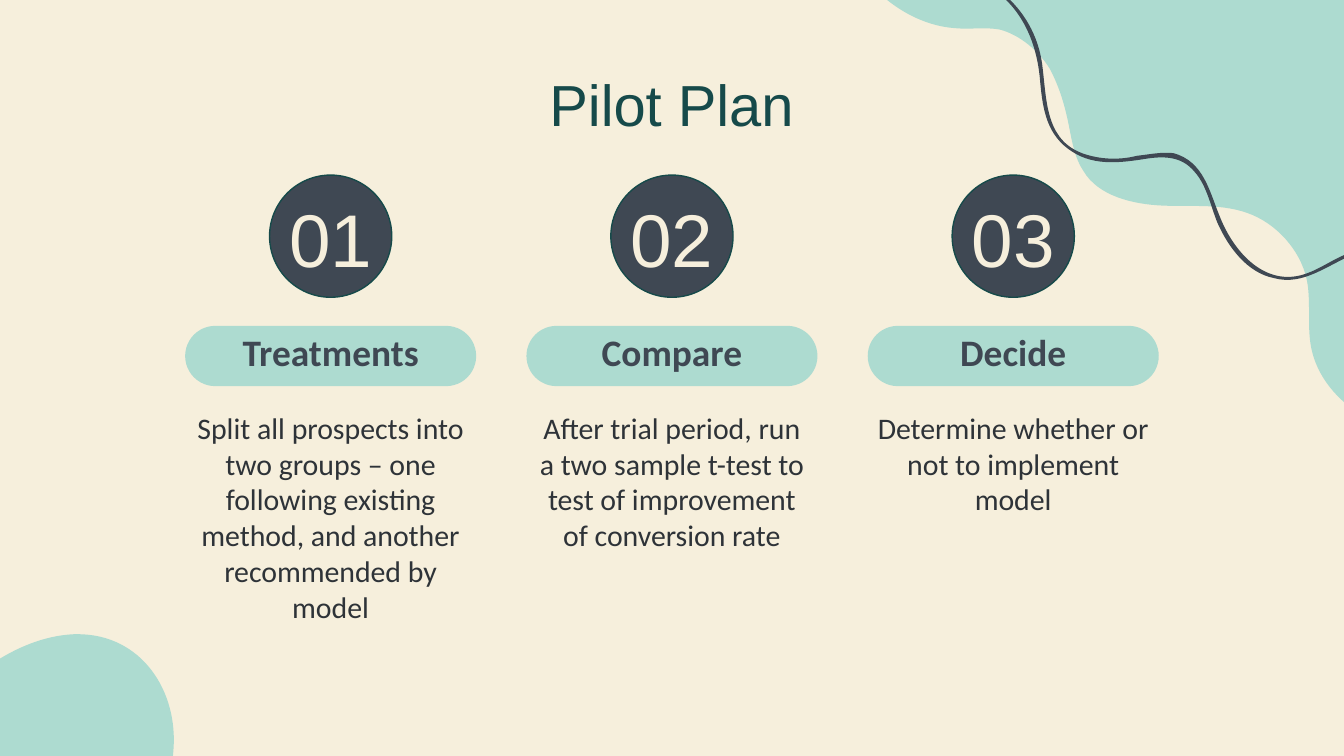
"""Build the Pilot Plan slide: three numbered steps on a wavy background."""
from lxml.etree import SubElement
from pptx import Presentation
from pptx.dml.color import RGBColor
from pptx.enum.shapes import MSO_SHAPE as SHAPE
from pptx.enum.text import MSO_ANCHOR as ANCHOR, PP_ALIGN as ALIGN
from pptx.oxml.ns import qn
from pptx.util import Cm, Pt

CREAM = RGBColor(0xF6, 0xEF, 0xDC)
MINT = RGBColor(0xAD, 0xDB, 0xD0)
SLATE = RGBColor(0x3F, 0x48, 0x53)
TEAL = RGBColor(0x16, 0x4A, 0x4A)
INK = RGBColor(0x2E, 0x33, 0x38)

TITLE = "Pilot Plan"
STEPS = [
    ("01", "Treatments", "Split all prospects into two groups – one following existing "
     "method, and another recommended by model", 3.76),
    ("02", "Compare", "After trial period, run a two sample t-test to test of "
     "improvement of conversion rate", 4.29),
    ("03", "Decide", "Determine whether or not to implement model", 2.21),
]

UNIT = Cm(0.0254)
CORNER_BLOB = [
    (58, 472), (57, 472, 56, 472, 55, 472), (33, 473, 12, 482, -6, 494),
    (-48, 521, -77, 567, -88, 616), (104, 616), (118, 598, 128, 578, 129, 559),
    (133, 514, 105, 472, 58, 472),
]
TOP_BLOB = [
    (975, 255), (973, 241, 975, 227, 973, 212), (970, 190, 953, 169, 932, 160),
    (911, 151, 887, 154, 865, 153), (843, 152, 817, 146, 806, 127),
    (800, 118, 798, 107, 796, 97), (793, 81, 789, 66, 781, 51),
    (773, 38, 759, 26, 744, 22), (733, 20, 722, 22, 711, 21),
    (682, 19, 656, 1, 639, -22), (638, -23, 637, -24, 636, -25),
    (644, -39, 652, -55, 667, -60), (693, -70, 719, -44, 747, -42),
    (769, -40, 789, -53, 808, -65), (851, -91, 904, -110, 951, -91),
    (963, -87, 974, -80, 983, -72), (1001, -56, 1015, -35, 1022, -12),
    (1033, 25, 1028, 66, 1035, 103), (1035, 317), (1034, 317, 1033, 317, 1032, 317),
    (1003, 308, 979, 284, 975, 255),
]
WAVE = [
    (1092, 189), (1074, 181, 1053, 178, 1033, 180), (1023, 182, 1014, 184, 1005, 188),
    (993, 192, 983, 200, 971, 204), (941, 214, 918, 187, 908, 162),
    (900, 143, 896, 120, 873, 114), (864, 113, 855, 115, 846, 116),
    (834, 119, 821, 119, 808, 115), (779, 106, 779, 78, 776, 52),
    (772, 8, 736, -24, 692, -24), (683, -25, 675, -23, 666, -20),
    (665, -20, 666, -17, 667, -18), (692, -26, 718, -22, 739, -8),
    (762, 8, 772, 34, 774, 61), (776, 82, 779, 101, 798, 113),
    (815, 124, 835, 121, 854, 118), (868, 116, 880, 117, 889, 128),
    (898, 138, 901, 154, 906, 166), (914, 184, 928, 203, 948, 207),
    (970, 213, 988, 197, 1008, 189), (1031, 181, 1056, 180, 1079, 187),
    (1083, 188, 1087, 189, 1091, 191), (1093, 192, 1094, 189, 1092, 189),
]

FIRST_CENTRE, STEP_GAP = 6.25, 6.45
CIRCLE, CIRCLE_TOP, NUMBER_TOP = 2.31, 3.31, 3.33
PILL_W, PILL_H, PILL_TOP = 5.5, 1.14, 6.16
TEXT_W, HEAD_TOP, BODY_TOP = 5.23, 6.38, 7.74


def paint(sp, fill, line=None):
    sp.shadow.inherit = False
    sp.fill.solid()
    sp.fill.fore_color.rgb = fill
    if line is None:
        sp.line.fill.background()
    else:
        sp.line.color.rgb = line
        sp.line.width = Pt(0.75)


def add_curve(s, segments, fill):
    anchors = [seg[-2:] for seg in segments]
    left, top = (min(values) for values in zip(*anchors))
    builder = s.shapes.build_freeform(*anchors[0], scale=UNIT)
    builder.add_line_segments(anchors[1:], close=True)
    sp = builder.convert_to_shape()
    paint(sp, fill)
    lines = list(sp._element.iter(qn("a:lnTo")))
    for line, seg in zip(lines, segments[1:]):
        if len(seg) == 6:
            line.clear()
            line.tag = qn("a:cubicBezTo")
            for x, y in zip(seg[::2], seg[1::2]):
                SubElement(line, qn("a:pt"), x=str(x - left), y=str(y - top))


def add_centred(s, kind, centre, top, w, h, fill, line=None):
    sp = s.shapes.add_shape(kind, Cm(centre - w / 2), Cm(top), Cm(w), Cm(h))
    paint(sp, fill, line)
    return sp


def add_text(s, text, centre, top, w, h, *, size, color, font="Calibri",
             bold=False, spacing=None, anchor=ANCHOR.TOP):
    sp = s.shapes.add_textbox(Cm(centre - w / 2), Cm(top), Cm(w), Cm(h))
    tf = sp.text_frame
    tf.word_wrap = True
    tf.vertical_anchor = anchor
    tf.margin_left = tf.margin_right = tf.margin_top = tf.margin_bottom = 0
    p = tf.paragraphs[0]
    p.alignment = ALIGN.CENTER
    p.line_spacing = spacing
    r = p.add_run()
    r.text = text
    r.font.name, r.font.size, r.font.bold = font, Pt(size), bold
    r.font.color.rgb = color


def main():
    prs = Presentation()
    prs.slide_width, prs.slide_height = Cm(25.4), Cm(14.29)
    s = prs.slides.add_slide(prs.slide_layouts[6])
    s.background.fill.solid()
    s.background.fill.fore_color.rgb = CREAM

    for segments, fill in ((CORNER_BLOB, MINT), (TOP_BLOB, MINT), (WAVE, SLATE)):
        add_curve(s, segments, fill)

    add_text(s, TITLE, 12.69, 1.3, 21.44, 1.27, size=31, color=TEAL, font="Arial")
    for i, (number, heading, body, body_h) in enumerate(STEPS):
        centre = FIRST_CENTRE + i * STEP_GAP
        pill = add_centred(s, SHAPE.ROUNDED_RECTANGLE, centre, PILL_TOP,
                           PILL_W, PILL_H, MINT)
        pill.adjustments[0] = 0.5
        add_centred(s, SHAPE.OVAL, centre, CIRCLE_TOP, CIRCLE, CIRCLE, SLATE, TEAL)
        add_text(s, number, centre, NUMBER_TOP, CIRCLE, CIRCLE, size=40,
                 color=CREAM, font="Arial", anchor=ANCHOR.MIDDLE)
        add_text(s, heading, centre, HEAD_TOP, TEXT_W, 0.76, size=20,
                 color=SLATE, bold=True, spacing=0.8)
        add_text(s, body, centre, BODY_TOP, TEXT_W, body_h, size=16, color=INK)

    prs.save("out.pptx")


if __name__ == "__main__":
    main()
